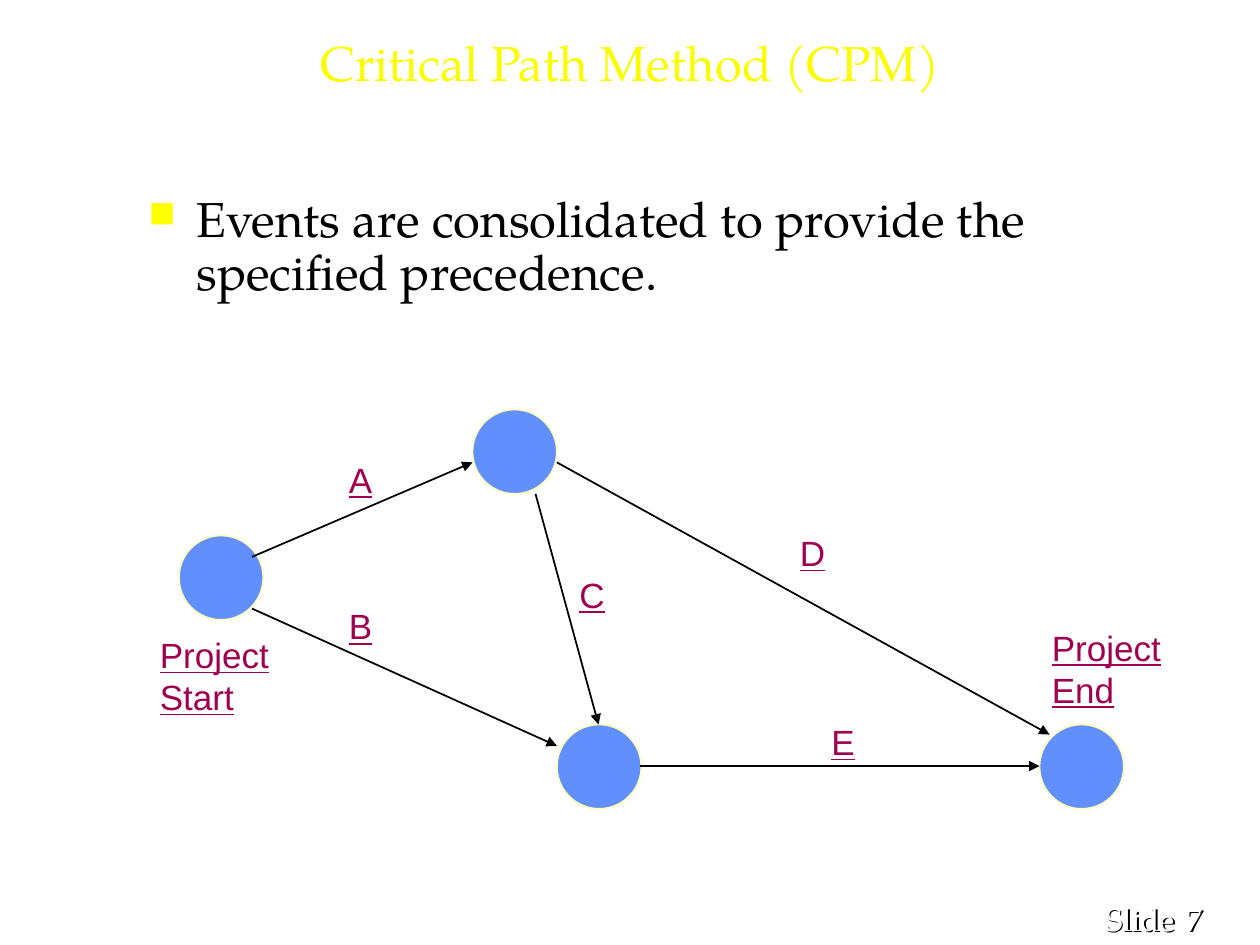
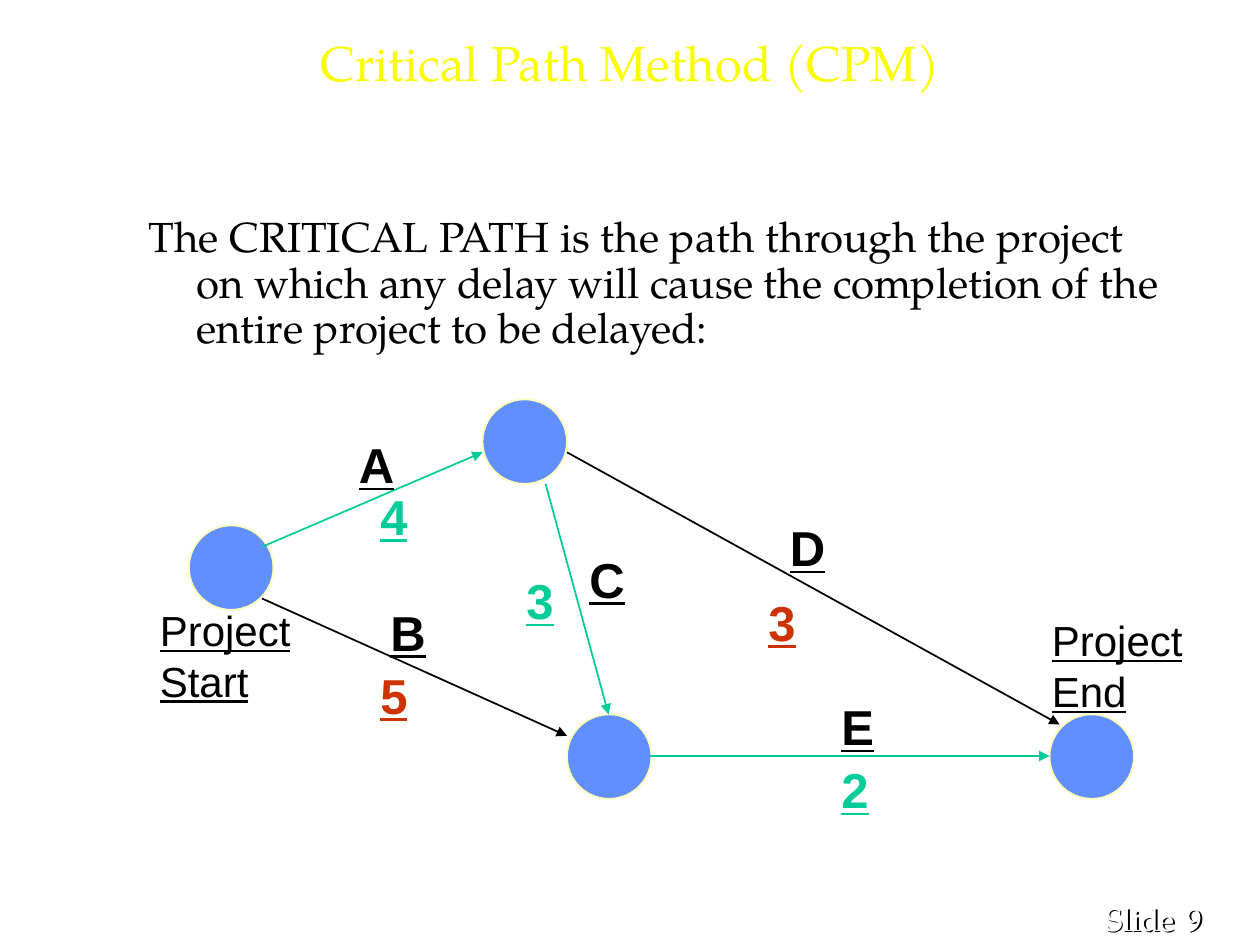
from lxml import etree
from pptx import Presentation
from pptx.dml.color import RGBColor
from pptx.enum.shapes import MSO_CONNECTOR as CONNECTOR, MSO_SHAPE as SHAPE
from pptx.enum.text import MSO_ANCHOR as ANCHOR, PP_ALIGN as ALIGN
from pptx.oxml import parse_xml
from pptx.oxml.ns import qn, nsdecls
from pptx.util import Inches, Pt

SERIF, SANS = "TeX Gyre Pagella", "Arial"
WHITE, BLACK, TITLE_YELLOW = "FFFFFF", "000000", "FAFD00"
PLUM, GREEN, RED = "A00050", "00CC99", "CC3300"
NODE_FILL, NODE_LINE = "618FFD", "FCFEB9"
NODE_SIZE = 0.67

# Project network: node corners, and the two ends of each activity arrow
NODES = [(1.42, 4.25), (3.75, 3.25), (4.42, 5.75), (8.25, 5.75)]
ACTIVITIES = {
    "A": (2, 4.42, 3.75, 3.67),
    "B": (2, 4.83, 4.42, 5.92),
    "C": (4.25, 3.92, 4.75, 5.75),
    "D": (4.42, 3.67, 8.33, 5.83),
    "E": (5.08, 6.08, 8.25, 6.08),
}

SLIDES = [
    dict(
        number="7",
        body="Events are consolidated to provide the specified precedence.",
        body_box=(1.08, 1.5, 8, 1.5), body_size=28, bullet=True,
        shift=0, critical="",
        label_format=dict(size=20, color=PLUM),
        end_format=dict(size=20, color=PLUM),
        labels={"A": (2.67, 3.59), "B": (2.67, 4.75), "C": (4.5, 4.5),
                "D": (6.25, 4.17), "E": (6.5, 5.67)},
        durations=[],
        ends={"Project\nStart": (1.17, 4.98), "Project\nEnd": (8.25, 4.92)},
    ),
    dict(
        number="9",
        body="The CRITICAL PATH is the path through the project on which any "
             "delay will cause the completion of the entire project to be delayed:",
        body_box=(1.08, 1.67, 8.25, 0.83), body_size=24, bullet=False,
        shift=0.08, critical="ACE",
        label_format=dict(size=28, color=BLACK, bold=True),
        end_format=dict(size=24, color=BLACK),
        labels={"A": (2.75, 3.4), "B": (3, 4.73), "C": (4.58, 4.31),
                "D": (6.17, 4.06), "E": (6.58, 5.48)},
        durations=[("A", "4", 2.92, 3.81), ("B", "5", 2.92, 5.23),
                   ("C", "3", 4.08, 4.48), ("D", "3", 6, 4.65),
                   ("E", "2", 6.58, 5.98)],
        ends={"Project\nStart": (1.17, 4.75), "Project\nEnd": (8.25, 4.83)},
    ),
]


def rgb(color):
    return RGBColor.from_string(color)


def add_text(slide, text, left, top, width, height, *, size, color, font=SANS,
             bold=False, underline=False, align=ALIGN.LEFT, anchor=ANCHOR.TOP):
    """Add a text box with one paragraph per line of text."""
    box = slide.shapes.add_textbox(Inches(left), Inches(top), Inches(width), Inches(height))
    frame = box.text_frame
    frame.word_wrap = True
    frame.vertical_anchor = anchor
    frame.text = text
    for paragraph in frame.paragraphs:
        paragraph.alignment = align
        style = paragraph.runs[0].font
        style.name, style.size, style.bold = font, Pt(size), bold
        style.underline = underline
        style.color.rgb = rgb(color)
    return box


presentation = Presentation()
presentation.slide_width, presentation.slide_height = Inches(10), Inches(7.5)

for content in SLIDES:
    slide = presentation.slides.add_slide(presentation.slide_layouts[6])

    # Footer: white text made visible by a black shadow
    for text, left in (("Slide", 8.68), (content["number"], 9.32)):
        footer = add_text(slide, text, left, 7.09, 0.8, 0.4,
                          size=18, color=WHITE, font=SERIF)
        footer._element.spPr.append(parse_xml(
            f'<a:effectLst {nsdecls("a")}><a:outerShdw dist="17961" dir="2700000">'
            f'<a:srgbClr val="{BLACK}"/></a:outerShdw></a:effectLst>'))

    add_text(slide, "Critical Path Method (CPM)", 0.58, 0.05, 8.84, 0.89, size=28,
             color=TITLE_YELLOW, font=SERIF, align=ALIGN.CENTER, anchor=ANCHOR.MIDDLE)

    body = add_text(slide, content["body"], *content["body_box"],
                    size=content["body_size"], color=BLACK, font=SERIF)
    paragraph = body.text_frame.paragraphs[0]
    paragraph.line_spacing = 0.9
    properties = paragraph._p.get_or_add_pPr()
    properties.set("marL", str(Inches(0.38)))
    properties.set("indent", str(Inches(-0.38)))
    if content["bullet"]:
        bullet_color = etree.SubElement(properties, qn("a:buClr"))
        etree.SubElement(bullet_color, qn("a:srgbClr"), val="FFFF00")
        etree.SubElement(properties, qn("a:buSzPct"), val="75000")
        etree.SubElement(properties, qn("a:buChar"), char="■")

    # Network
    shift = content["shift"]
    for left, top in NODES:
        node = slide.shapes.add_shape(SHAPE.OVAL, Inches(left + shift), Inches(top - shift),
                                      Inches(NODE_SIZE), Inches(NODE_SIZE))
        node.shadow.inherit = False
        node.fill.solid()
        node.fill.fore_color.rgb = rgb(NODE_FILL)
        node.line.color.rgb = rgb(NODE_LINE)
        node.line.width = Pt(1)

    for activity, (x1, y1, x2, y2) in ACTIVITIES.items():
        arrow = slide.shapes.add_connector(
            CONNECTOR.STRAIGHT, Inches(x1 + shift), Inches(y1 - shift),
            Inches(x2 + shift), Inches(y2 - shift))
        arrow.line.color.rgb = rgb(GREEN if activity in content["critical"] else BLACK)
        arrow.line.width = Pt(1)
        etree.SubElement(arrow.line._get_or_add_ln(), qn("a:tailEnd"), type="triangle")
        etree.SubElement(arrow._element.spPr, qn("a:effectLst"))

    for activity, (left, top) in content["labels"].items():
        add_text(slide, activity, left, top, 0.48, 0.57, underline=True,
                 **content["label_format"])
    for activity, days, left, top in content["durations"]:
        add_text(slide, days, left, top, 0.42, 0.57, size=28, bold=True, underline=True,
                 color=GREEN if activity in content["critical"] else RED)
    for text, (left, top) in content["ends"].items():
        add_text(slide, text, left, top, 1.3, 0.9, underline=True, **content["end_format"])

presentation.save("out.pptx")
